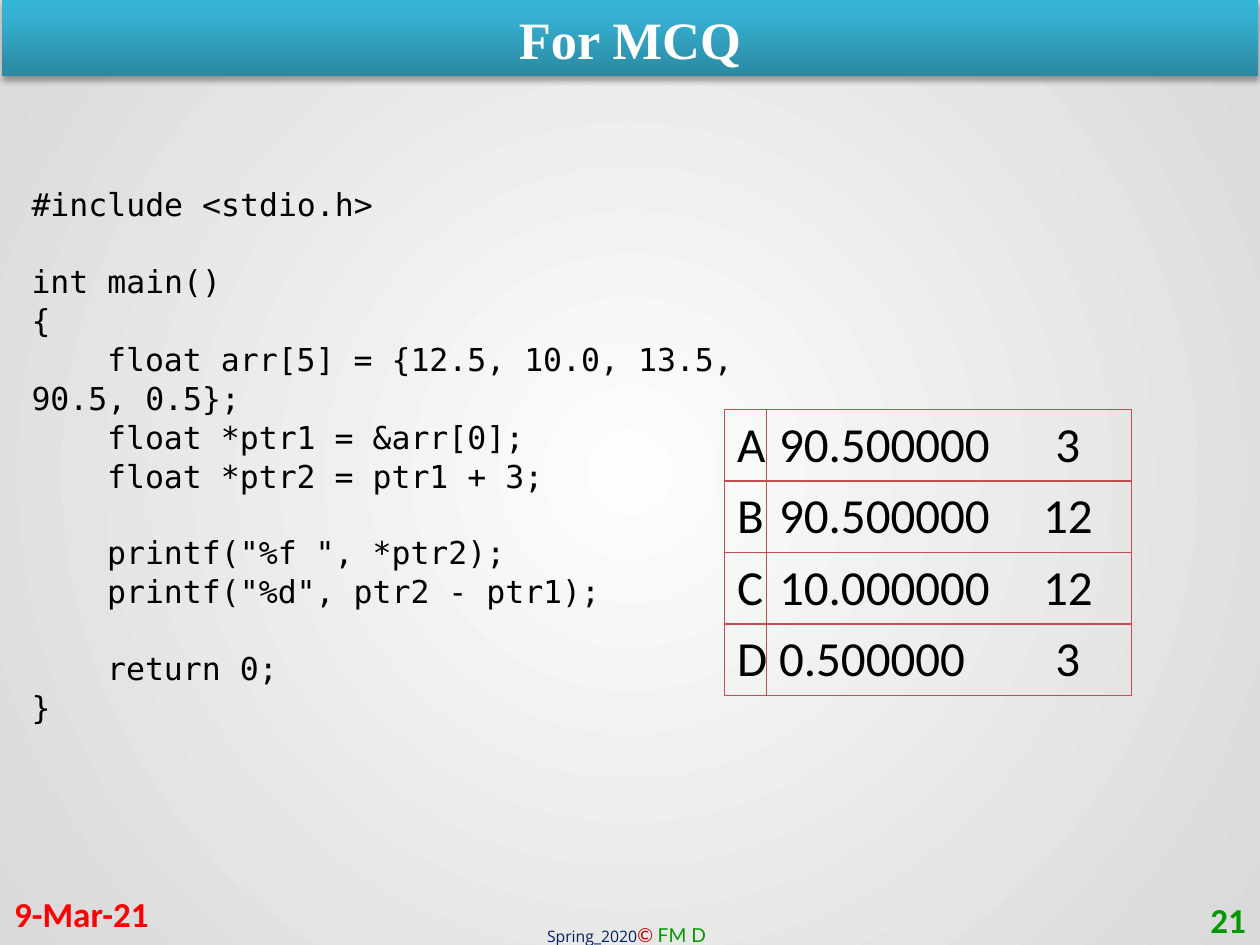
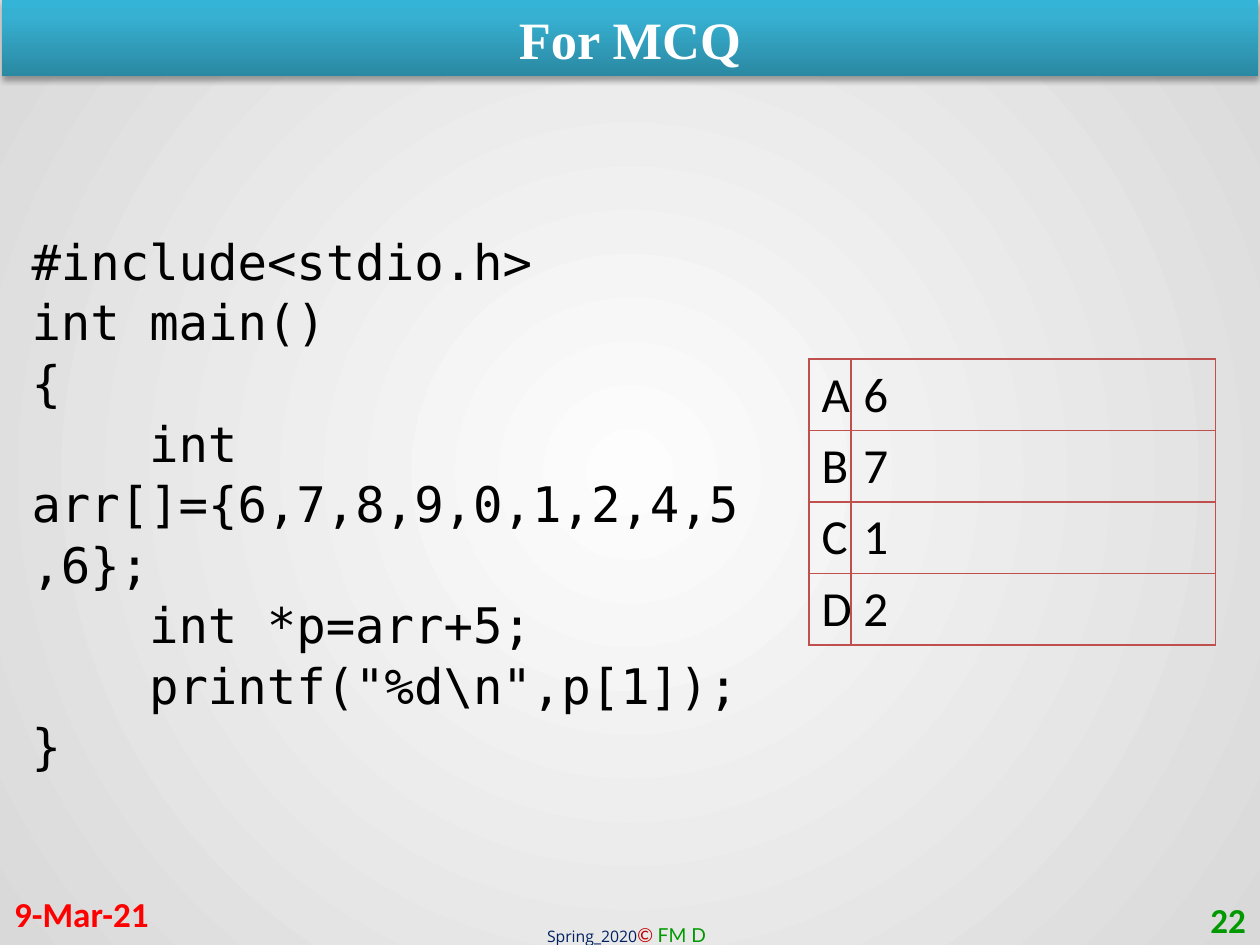
from pptx import Presentation
from pptx.dml.color import RGBColor
from pptx.enum.shapes import MSO_SHAPE
from pptx.enum.text import MSO_ANCHOR, PP_ALIGN
from pptx.oxml import parse_xml
from pptx.oxml.ns import nsdecls, qn
from pptx.util import Pt

RECTANGLE = MSO_SHAPE.RECTANGLE
MIDDLE, TOP = MSO_ANCHOR.MIDDLE, MSO_ANCHOR.TOP
LEFT, CENTER, RIGHT = PP_ALIGN.LEFT, PP_ALIGN.CENTER, PP_ALIGN.RIGHT

WIDTH, HEIGHT = 720, 540
WHITE, BLACK, RED, GREEN = "FFFFFF", "000000", "FF0000", "009900"
NAVY, MAROON, RULE = "002060", "C00000", "C0504D"
BAND_STOPS = [(0, "2A88A2"), (80, "37B1D2"), (100, "34B4D6")]
BACKDROP_STOPS = [(0, "FDFDFD"), (100, "D9D9D9")]
BODY_FONT, CODE_FONT, TITLE_FONT = "Calibri", "DejaVu Sans Mono", "Times New Roman"
CODE_CHAR, CODE_LINE = 0.6, 1.2
VALUE_TAB = 165

POINTER_CODE = r'''#include <stdio.h>

int main()
{
    float arr[5] = {12.5, 10.0, 13.5, 90.5, 0.5};
    float *ptr1 = &arr[0];
    float *ptr2 = ptr1 + 3;

    printf("%f ", *ptr2);
    printf("%d", ptr2 - ptr1);

    return 0;
}'''

INDEX_CODE = r'''#include<stdio.h>
int main()
{
    int arr[]={6,7,8,9,0,1,2,4,5,6};
    int *p=arr+5;
    printf("%d\n",p[1]);
}'''

QUESTIONS = [
    dict(number=21, code=POINTER_CODE, code_size=18, code_top=109,
         answers=["90.500000\t3", "90.500000\t12", "10.000000\t12", "0.500000\t3"],
         answers_at=(414, 234)),
    dict(number=22, code=INDEX_CODE, code_size=28, code_top=136,
         answers=["6", "7", "1", "2"], answers_at=(462.25, 205.2)),
]


def color(value):
    return RGBColor.from_string(value)


def write(paragraph, text, size=28, font=BODY_FONT, ink=BLACK, bold=False,
          italic=False, align=LEFT):
    paragraph.alignment = align
    run = paragraph.add_run()
    run.text = text
    run.font.size = Pt(size)
    run.font.name = font
    run.font.bold = bold
    run.font.italic = italic
    run.font.color.rgb = color(ink)


def text_frame(slide, box, anchor=MIDDLE, wrap=True):
    frame = slide.shapes.add_textbox(*map(Pt, box)).text_frame
    frame.word_wrap = wrap
    frame.vertical_anchor = anchor
    return frame


def set_gradient(fill, element, stops, direction):
    fill.gradient()
    plain = element.find(".//" + qn("a:gradFill"))
    marks = "".join(f'<a:gs pos="{place * 1000}"><a:srgbClr val="{ink}"/></a:gs>'
                    for place, ink in stops)
    plain.getparent().replace(plain, parse_xml(
        f'<a:gradFill {nsdecls("a")} rotWithShape="1">'
        f'<a:gsLst>{marks}</a:gsLst>{direction}</a:gradFill>'))


def backdrop(slide):
    set_gradient(slide.background.fill, slide.element, BACKDROP_STOPS,
                 '<a:path path="circle"><a:fillToRect l="50000" t="50000" '
                 'r="50000" b="50000"/></a:path>')


def title_band(slide, box, title):
    band = slide.shapes.add_shape(RECTANGLE, *map(Pt, box))
    band.line.fill.background()
    properties = band.element.spPr
    set_gradient(band.fill, properties, BAND_STOPS, '<a:lin ang="16200000" scaled="0"/>')
    properties.append(parse_xml(
        f'<a:effectLst {nsdecls("a")}><a:outerShdw blurRad="{Pt(3.1)}" dist="{Pt(1.8)}" '
        'dir="5400000" rotWithShape="0"><a:srgbClr val="000000"><a:alpha val="35000"/>'
        '</a:srgbClr></a:outerShdw></a:effectLst>'))
    band.text_frame.vertical_anchor = MIDDLE
    write(band.text_frame.paragraphs[0], title, size=30, font=TITLE_FONT, ink=WHITE,
          bold=True, align=CENTER)


def footer(slide, box, date, number):
    left, top, width, height = box
    side = 168
    credit = text_frame(slide, (left + 304.5, top + 16.5, 109, 21), TOP, wrap=False)
    line = credit.paragraphs[0]
    write(line, "Spring_2020", size=9, font="Open Sans", ink=NAVY)
    write(line, "© ", size=11, font="Lato", ink=MAROON, italic=True)
    write(line, "FM D", size=11, font="Lato", ink=GREEN)
    day = text_frame(slide, (left, top, side, height))
    write(day.paragraphs[0], date, size=20, ink=RED, bold=True)
    page = text_frame(slide, (left + width - side, top + 3.6, side, height))
    write(page.paragraphs[0], str(number), size=20, ink=GREEN, bold=True, align=RIGHT)


def code_listing(slide, box, code, size):
    frame = text_frame(slide, box)
    frame.margin_left = frame.margin_right = frame.margin_top = frame.margin_bottom = 0
    paragraph, gap = frame.paragraphs[0], 0
    for index, line in enumerate(code.splitlines()):
        statement = line.lstrip()
        if not statement:
            gap += size * CODE_LINE
            continue
        if index:
            paragraph = frame.add_paragraph()
        paragraph.line_spacing = 1.03
        paragraph.space_before = Pt(gap)
        indent = (len(line) - len(statement)) * CODE_CHAR * size
        paragraph._p.get_or_add_pPr().set("indent", str(Pt(indent)))
        write(paragraph, statement, size=size, font=CODE_FONT)
        gap = 0


def rule_cell(cell):
    cell.fill.background()
    cell.vertical_anchor = MIDDLE
    properties = cell._tc.get_or_add_tcPr()
    for place, side in enumerate(("lnL", "lnR", "lnT", "lnB")):
        properties.insert(place, parse_xml(
            f'<a:{side} {nsdecls("a")} w="{Pt(1)}"><a:solidFill>'
            f'<a:srgbClr val="{RULE}"/></a:solidFill></a:{side}>'))


def answer_table(slide, box, answers):
    grid = slide.shapes.add_table(len(answers), 2, *map(Pt, box)).table
    grid.first_row = grid.horz_banding = False
    letter_width = 24
    grid.columns[0].width = Pt(letter_width)
    grid.columns[1].width = Pt(box[2] - letter_width)
    for row, (letter, answer) in enumerate(zip("ABCD", answers)):
        for column, (text, align) in enumerate([(letter, CENTER), (answer, LEFT)]):
            cell = grid.cell(row, column)
            rule_cell(cell)
            paragraph = cell.text_frame.paragraphs[0]
            write(paragraph, text, align=align)
            if "\t" in text:
                paragraph._p.get_or_add_pPr().append(parse_xml(
                    f'<a:tabLst {nsdecls("a")}><a:tab pos="{Pt(VALUE_TAB)}" '
                    'algn="ctr"/></a:tabLst>'))


def question_slide(deck, number, code, code_size, code_top, answers, answers_at):
    slide = deck.slides.add_slide(deck.slide_layouts[6])
    backdrop(slide)
    title_band(slide, (1, 0, WIDTH - 2, 43.75), "For MCQ")
    footer(slide, (1, 507.6, WIDTH - 2, 29), "9-Mar-21", number)
    code_listing(slide, (18, code_top, 414, 302), code, code_size)
    answer_table(slide, (*answers_at, 232.5, 163.44), answers)


def main():
    deck = Presentation()
    deck.slide_width, deck.slide_height = Pt(WIDTH), Pt(HEIGHT)
    for question in QUESTIONS:
        question_slide(deck, **question)
    deck.save("out.pptx")


if __name__ == "__main__":
    main()
